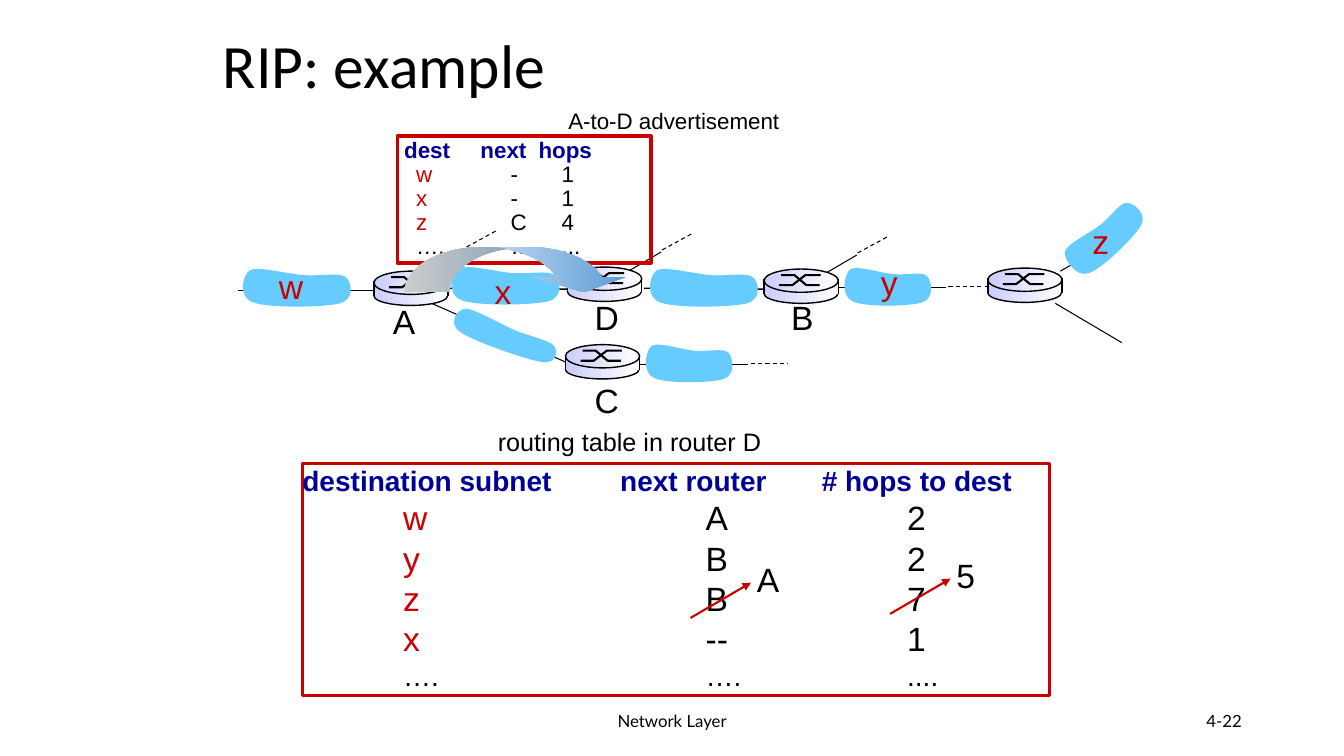
from lxml.etree import SubElement
from pptx import Presentation
from pptx.dml.color import RGBColor
from pptx.enum.dml import MSO_LINE
from pptx.enum.shapes import MSO_CONNECTOR, MSO_SHAPE
from pptx.enum.text import MSO_ANCHOR, PP_ALIGN
from pptx.oxml.ns import qn
from pptx.util import Pt

BLACK, RED, NAVY, BLUE = "000000", "CC0000", "000099", "66CCFF"

# Start and control points of a subnet cloud, in a box of 1.16 by 0.42
CLOUD = [(.66, .09), (.5, .08), (.21, 0), (.12, .04), (.04, .09), (0, .31),
         (.15, .36), (.3, .42), (.86, .41), (1.01, .37), (1.16, .33),
         (1.13, .16), (1.07, .11), (1.01, .06), (.82, .1), (.66, .09)]


def rgb(code):
    return RGBColor.from_string(code)


def write(frame, runs, size=24, color=BLACK, font="Arial", bold=False,
          align=PP_ALIGN.LEFT, tabs=(), space=None, first=True):
    """Add one paragraph; runs is a string or a list of (text, colour)."""
    para = frame.paragraphs[0] if first else frame.add_paragraph()
    if tabs:
        stops = SubElement(para._p.get_or_add_pPr(), qn("a:tabLst"))
        for stop in tabs:
            SubElement(stops, qn("a:tab"), pos=str(Pt(stop)), algn="l")
    para.alignment = align
    if space:
        para.line_spacing = space
    for text, tint in [(runs, color)] if isinstance(runs, str) else runs:
        run = para.add_run()
        run.text = text
        run.font.name, run.font.size, run.font.bold = font, Pt(size), bold
        run.font.color.rgb = rgb(tint)


def label(slide, text, x, y, w, h, wrap=False, anchor=MSO_ANCHOR.TOP, **style):
    frame = slide.shapes.add_textbox(Pt(x), Pt(y), Pt(w), Pt(h)).text_frame
    frame.word_wrap = wrap
    frame.vertical_anchor = anchor
    write(frame, text, **style)


def link(slide, x1, y1, x2, y2, color=BLACK, width=.75, dash=False, head=False):
    line = slide.shapes.add_connector(
        MSO_CONNECTOR.STRAIGHT, Pt(x1), Pt(y1), Pt(x2), Pt(y2))
    line.line.color.rgb = rgb(color)
    line.line.width = Pt(width)
    if dash:
        line.line.dash_style = MSO_LINE.DASH
    if head:
        SubElement(line.line._get_or_add_ln(), qn("a:tailEnd"), type="triangle")
    SubElement(line._element.spPr, qn("a:effectLst"))


def outline(slide, points, close):
    points = [(Pt(x), Pt(y)) for x, y in points]
    pen = slide.shapes.build_freeform(*points[0])
    pen.add_line_segments(points[1:], close=close)
    shape = pen.convert_to_shape()
    shape.shadow.inherit = False
    return shape


def cloud(slide, x, y, w, h, turn=0):
    shape = outline(slide, [(x + a / 1.16 * w, y + b / .42 * h)
                            for a, b in CLOUD], True)
    shape.fill.solid()
    shape.fill.fore_color.rgb = rgb(BLUE)
    shape.line.fill.background()
    shape.rotation = turn
    track = shape._element.find(".//" + qn("a:path"))
    end = track.find(qn("a:close"))
    steps = track.findall(qn("a:lnTo"))
    for i in range(0, len(steps), 3):
        curve = SubElement(track, qn("a:cubicBezTo"))
        for step in steps[i:i + 3]:
            curve.append(step[0])
            track.remove(step)
        end.addprevious(curve)


def solid(slide, kind, x, y, w, h, start, stop, edge=False):
    """Add a preset shape with a left-to-right gradient."""
    shape = slide.shapes.add_shape(kind, Pt(x), Pt(y), Pt(w), Pt(h))
    shape.shadow.inherit = False
    shape.fill.gradient()
    shape.fill.gradient_angle = 0
    for mark, color in zip(shape.fill.gradient_stops, (start, stop)):
        mark.color.rgb = rgb(color)
    if edge:
        shape.line.color.rgb = rgb(BLACK)
        shape.line.width = Pt(1)
    else:
        shape.line.fill.background()
    return shape


def router(slide, x, y):
    for kind, dy, w, h, edge in [(MSO_SHAPE.OVAL, 10.8, 52.6, 13.7, True),
                                 (MSO_SHAPE.RECTANGLE, 9.4, 53, 8.6, False),
                                 (MSO_SHAPE.OVAL, 0, 53, 16.6, True)]:
        solid(slide, kind, x, y + dy, w, h, "CCCCFF", "FFFFFF", edge)
    for spots, near, far in [((10.8, 20.2, 29.5, 40.3), 11.5, 4.3),
                             ((12.2, 21.6, 30.2, 39.6), 4.3, 11.5)]:
        rises = (near, near, far, far)
        mark = outline(slide, [(x + a, y + b) for a, b in zip(spots, rises)],
                       False)
        mark.fill.background()
        mark.line.color.rgb = rgb(BLACK)
        mark.line.width = Pt(1.5)
    for side in (x, x + 53):
        link(slide, side, y + 7.2, side, y + 18, width=1)


def network(slide, x, y):
    for a, b, c, d, width, dash in [
            (428.3, 60.2, 505.4, 60.2, .75, False),
            (149, 60.9, 246.9, 61.6, 1, False),
            (290.1, 60.9, 388, 61.6, 1, False),
            (0, 62.4, 97.8, 62.4, 1, False),
            (587.4, 48.7, 635, 21.3, .75, False),
            (583.8, 71.7, 631.4, 99.8, .75, False),
            (136.7, 71, 235.4, 114.2, .75, False),
            (287.2, 115.6, 364.2, 115.6, .75, False),
            (507.5, 59.5, 534.9, 59.5, .75, True),
            (366.4, 114.9, 393, 114.9, .75, True)]:
        link(slide, x + a, y + b, x + c, y + d, width=width, dash=dash)
    for a, b in [(416.1, 52.3), (276.4, 50.1), (136.7, 48)]:
        a, b = x + a, y + b
        link(slide, a, b, a + 25.9, b - 15.1)
        link(slide, a + 26.6, b - 16.6, a + 49, b - 28.8, dash=True)
    for a, b, w, h, turn in [(149, 43.6, 83.5, 30.2, 0),
                             (149, 84, 83.5, 22.3, 19.7),
                             (0, 45.1, 83.5, 30.2, 0),
                             (290.8, 45.1, 83.5, 30.2, 0),
                             (430.5, 44.4, 67, 30.2, 0),
                             (584.6, 9.8, 68.4, 30.2, 316.8),
                             (288.6, 99.1, 67, 30.2, 0)]:
        cloud(slide, x + a, y + b, w, h, turn)
    for name, a, b, w in [("w", 22.2, 41.5, 31.7), ("x", 176.3, 45.1, 26.6),
                          ("y", 452.1, 38.6, 26.6), ("z", 603.3, 9.1, 26.6),
                          ("A", 103.6, 66.7, 30.2), ("C", 247.6, 122.8, 31.7),
                          ("D", 247.6, 63.8, 31.7), ("B", 388, 63.8, 30.2)]:
        label(slide, name, x + a, y + b, w, 36,
              color=RED if name.islower() else BLACK)
    for a, b in [(235.4, 45.8), (375.8, 47.2), (535.6, 46.5),
                 (233.9, 101.2), (97.1, 48.7)]:
        router(slide, x + a, y + b)


def frame(slide, x, y, w, h):
    """Add a red box and return its text frame."""
    box = slide.shapes.add_shape(MSO_SHAPE.RECTANGLE, Pt(x), Pt(y), Pt(w), Pt(h))
    box.shadow.inherit = False
    box.fill.background()
    box.line.color.rgb = rgb(RED)
    box.line.width = Pt(2.25)
    text = box.text_frame
    text.word_wrap = True
    text.vertical_anchor = MSO_ANCHOR.TOP
    text.margin_left = text.margin_right = 0
    text.margin_top = text.margin_bottom = 0
    return text


def listing(body, rows, dots, size, **style):
    """Add rows of a red key and black values, then a row of dots."""
    for key, *cells in rows:
        write(body, [("\t" + key, RED), ("\t" + "\t".join(cells), BLACK)],
              size=size, first=False, **style)
    write(body, "\t" + "\t".join(dots), size=min(size, 20), first=False,
          **style)


def routes(slide, x, y, w, h):
    label(slide, "routing table in router D", x + 132.5, y - 30, 202.3, 29,
          size=18)
    body = frame(slide, x, y, w, h)
    write(body, "destination subnet\tnext router\t# hops to dest", size=20,
          color=NAVY, bold=True, tabs=(227, 371))
    listing(body, ["wA2", "yB2", "zB7", ("x", "--", "1")],
            ("….", "….", "...."), size=24, tabs=(72, 288, 432))
    for text, a, b in [("A", 277.2, 110.2), ("5", 419.8, 107.3)]:
        a, b = x + a, y + b
        link(slide, a, b, a + 43.2, b - 25.2, color=RED, width=1.5, head=True)
        label(slide, text, a + 40.3, b - 45.4, 29, 36)


def advert(slide, x, y, w, h):
    body = frame(slide, x, y, w, h)
    write(body, "\tdest\tnext\thops", size=16, color=NAVY, bold=True,
          tabs=(5, 59.5, 101))
    listing(body, ["w-1", "x-1", "zC4"], ("….", "…", "..."), size=16,
            tabs=(13.5, 81, 117.5), space=.9)
    label(slide, "A-to-D advertisement", x + 115.2, y - 24.5, 165.6, 26.6,
          size=16)
    arrow = solid(slide, MSO_SHAPE.CURVED_DOWN_ARROW, x + 5, y + 79.2,
                  160.6, 32.4, "FFFFFF", "5B9BD5")
    for i, value in enumerate((.996, 1.992, .333)):
        arrow.adjustments[i] = value


def main():
    deck = Presentation()
    deck.slide_width, deck.slide_height = Pt(960), Pt(540)
    slide = deck.slides.add_slide(deck.slide_layouts[6])
    middle = {"wrap": True, "anchor": MSO_ANCHOR.MIDDLE}
    for text, x, w, align in [("Network Layer", 318.2, 324, PP_ALIGN.CENTER),
                              ("4-22", 678.2, 216, PP_ALIGN.RIGHT)]:
        label(slide, text, x, 500.4, w, 28.8, size=12, font="Lato",
              align=align, **middle)
    network(slide, 170, 145)
    routes(slide, 216, 331.2, 533.5, 165.6)
    advert(slide, 283.7, 97.2, 181.4, 90.7)
    label(slide, "RIP: example", 152, 15.1, 310.3, 67.7, size=44,
          font="Calibri", space=.9, **middle)
    deck.save("out.pptx")


if __name__ == "__main__":
    main()
